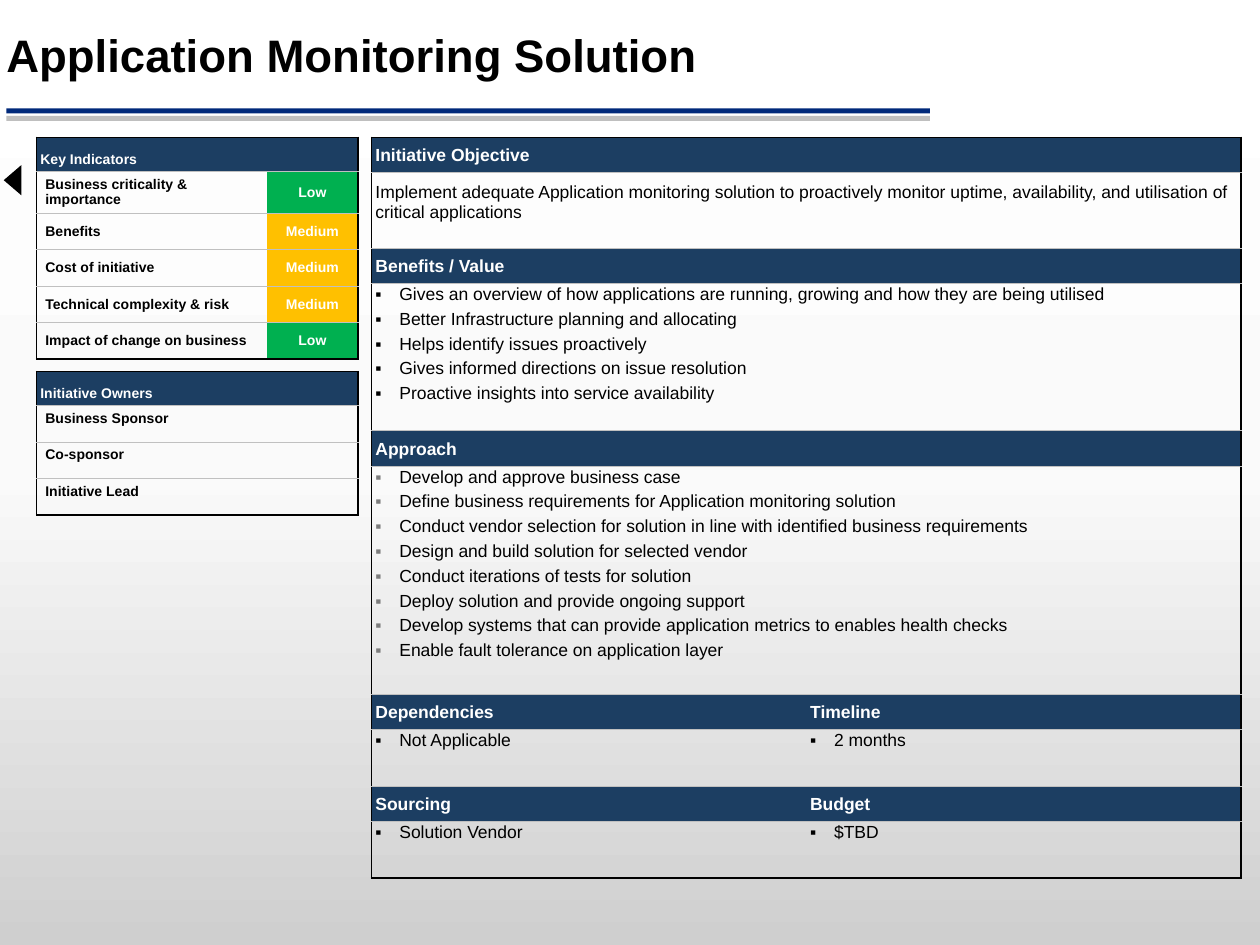
import pptx
import pptx.util
import pptx.dml.color
import pptx.enum.shapes
import pptx.enum.text
import pptx.oxml
import pptx.oxml.ns
from copy import deepcopy
from dataclasses import dataclass

Inches = pptx.util.Inches
Pt = pptx.util.Pt
ANCHOR = pptx.enum.text.MSO_ANCHOR
ALIGN = pptx.enum.text.PP_ALIGN
SHAPE = pptx.enum.shapes.MSO_SHAPE

COLORS = {
    "navy": "1C3E62", "blue": "00297A", "silver": "BFBFBF", "rule": "C0C0C0",
    "black": "000000", "white": "FFFFFF", "green": "00B050", "amber": "FFC000",
    "gray": "7D7D7D", "bottom": "CFCFCF", "middle": "FAFAFA",
}


@dataclass
class CellStyle:
    """Look of one kind of table cell."""
    size: int
    color: str = "black"
    bold: bool = False
    fill: str = ""
    anchor: object = ANCHOR.MIDDLE
    align: object = ALIGN.LEFT
    insets: tuple = (0.03, 0.01, 0.01, 0)
    bullet: str = ""


SIDE_INSETS = (0.07, 0.04, 0.07, 0.04)
STYLES = {
    "side_header": CellStyle(8, "white", True, "navy", ANCHOR.BOTTOM, insets=(0.03,) * 4),
    "indicator": CellStyle(8, bold=True, insets=SIDE_INSETS),
    "owner": CellStyle(8, bold=True, anchor=ANCHOR.TOP, insets=SIDE_INSETS),
    "Low": CellStyle(8, "white", True, "green", align=ALIGN.CENTER, insets=SIDE_INSETS),
    "Medium": CellStyle(8, "white", True, "amber", align=ALIGN.CENTER, insets=SIDE_INSETS),
    "header": CellStyle(10, "white", True, "navy"),
    "objective": CellStyle(10, insets=(0.03, 0.01, 0.01, 0.14)),
    "list": CellStyle(10, anchor=ANCHOR.TOP, bullet="black"),
    "steps": CellStyle(10, anchor=ANCHOR.TOP, bullet="gray"),
}

INDICATORS = [
    ("Business criticality & importance", "Low"),
    ("Benefits", "Medium"),
    ("Cost of initiative", "Medium"),
    ("Technical complexity & risk", "Medium"),
    ("Impact of change on business", "Low"),
]
OWNERS = ["Business Sponsor", "Co-sponsor", "Initiative Lead"]
OBJECTIVE = ("Implement adequate Application monitoring solution to proactively monitor "
             "uptime, availability, and utilisation of critical applications")
BENEFITS = [
    "Gives an overview of how applications are running, growing and how they are being utilised",
    "Better Infrastructure planning and allocating",
    "Helps identify issues proactively",
    "Gives informed directions on issue resolution",
    "Proactive insights into service availability",
]
APPROACH = [
    "Develop and approve business case",
    "Define business requirements for Application monitoring solution",
    "Conduct vendor selection for solution in line with identified business requirements",
    "Design and build solution for selected vendor",
    "Conduct iterations of tests for solution",
    "Deploy solution and provide ongoing support",
    "Develop systems that can provide application metrics to enables health checks",
    "Enable fault tolerance on application layer",
]


def rgb(name):
    """Return the named colour."""
    return pptx.dml.color.RGBColor.from_string(COLORS[name])


def set_font(paragraph, size, color, bold):
    """Set the paragraph's Arial font."""
    font = paragraph.font
    font.name, font.size, font.bold = "Arial", Pt(size), bold
    font.color.rgb = rgb(color)


def set_bullet(paragraph, color):
    """Give the paragraph a hanging square bullet."""
    properties = paragraph._p.get_or_add_pPr()
    properties.set("marL", str(Inches(0.19)))
    properties.set("indent", str(-Inches(0.19)))
    paragraph.space_after = Pt(3)
    namespace = pptx.oxml.ns.nsdecls("a")
    for xml in (f'<a:buClr {namespace}><a:srgbClr val="{COLORS[color]}"/></a:buClr>',
                f'<a:buFont {namespace} typeface="Arial"/>',
                f'<a:buChar {namespace} char="▪"/>'):
        properties.append(pptx.oxml.parse_xml(xml))


def set_border(cell, side, color, width):
    """Draw one side of the cell, or hide it when there is no colour."""
    paint = f'<a:solidFill><a:srgbClr val="{COLORS[color]}"/></a:solidFill>' if color else "<a:noFill/>"
    cell._tc.get_or_add_tcPr().append(pptx.oxml.parse_xml(
        f'<a:ln{side} {pptx.oxml.ns.nsdecls("a")} w="{Pt(width)}">{paint}</a:ln{side}>'))


def fill_cell(cell, style, lines):
    """Write the lines into the cell in the given style."""
    cell.vertical_anchor = style.anchor
    cell.margin_left, cell.margin_top, cell.margin_right, cell.margin_bottom = map(Inches, style.insets)
    if style.fill:
        cell.fill.solid()
        cell.fill.fore_color.rgb = rgb(style.fill)
    else:
        cell.fill.background()
    cell.text = "\n".join(lines)
    for paragraph in cell.text_frame.paragraphs:
        paragraph.alignment = style.align
        if style.bullet:
            set_bullet(paragraph, style.bullet)
        set_font(paragraph, style.size, style.color, style.bold)


def add_panel(slide, left, top, widths, rows):
    """Add a framed two-column table; a row with one entry spans both columns."""
    heights = [height for height, *_ in rows]
    table = slide.shapes.add_table(len(rows), 2, Inches(left), Inches(top),
                                   Inches(sum(widths)), Inches(sum(heights))).table
    table.first_row = table.horz_banding = False
    for column, width in zip(table.columns, widths):
        column.width = Inches(width)
    for row, (height, *entries) in enumerate(rows):
        table.rows[row].height = Inches(height)
        spans = len(entries) == 1
        if spans:
            table.cell(row, 0).merge(table.cell(row, 1))
        for column, (style, *lines) in enumerate(entries * 2 if spans else entries):
            cell = table.cell(row, column)
            set_border(cell, "L", "black" if column == 0 else "", 1)
            set_border(cell, "R", "black" if column == 1 or spans else "", 1)
            for side, is_edge in (("T", row == 0), ("B", row == len(rows) - 1)):
                set_border(cell, side, "black" if is_edge else "rule", 1 if is_edge else 0.5)
            fill_cell(cell, STYLES[style], [] if cell.is_spanned else lines)


def add_solid(slide, kind, left, top, width, height, color):
    """Add a plain filled shape without outline."""
    solid = slide.shapes.add_shape(kind, Inches(left), Inches(top), Inches(width), Inches(height))
    solid.shadow.inherit = False
    solid.fill.solid()
    solid.fill.fore_color.rgb = rgb(color)
    solid.line.fill.background()
    return solid


def set_background(slide):
    """Shade the slide from grey at the bottom to white at the top."""
    fill = slide.background.fill
    fill.gradient()
    fill.gradient_angle = 90
    stops = slide.element.xpath(".//a:gsLst")[0]
    stops.insert(1, deepcopy(stops[0]))
    for stop, color, position in zip(fill.gradient_stops, ("bottom", "middle", "white"), (0, 0.5, 1)):
        stop.color.rgb = rgb(color)
        stop.position = position


def set_title(slide, text):
    """Place and format the slide title."""
    title = slide.shapes.title
    title.left, title.top, title.width, title.height = map(Inches, (0, 0.21, 7.77, 0.49))
    frame = title.text_frame
    frame.text = text
    frame.word_wrap = True
    frame.vertical_anchor = ANCHOR.MIDDLE
    frame.margin_left = frame.margin_top = frame.margin_right = frame.margin_bottom = Inches(0.05)
    heading = frame.paragraphs[0]
    heading.alignment = ALIGN.LEFT
    heading.line_spacing = 0.9
    set_font(heading, 26, "black", True)


def main():
    """Build the initiative slide."""
    deck = pptx.Presentation()
    deck.slide_width, deck.slide_height = Inches(10), Inches(7.5)
    slide = deck.slides.add_slide(deck.slide_layouts[5])
    set_background(slide)
    for top, color in ((0.92, "silver"), (0.86, "blue")):
        add_solid(slide, SHAPE.RECTANGLE, 0.05, top, 7.33, 0.04, color)
    set_title(slide, "Application Monitoring Solution")
    add_panel(slide, 0.29, 1.09, (1.83, 0.72), [(0.27, ("side_header", "Key Indicators"))] + [
        (0.29, ("indicator", label), (level, level)) for label, level in INDICATORS])
    add_solid(slide, SHAPE.ISOSCELES_TRIANGLE, -0.02, 1.36, 0.24, 0.14, "black").rotation = 270
    add_panel(slide, 0.29, 2.95, (1.14, 1.41), [(0.27, ("side_header", "Initiative Owners"))] + [
        (0.29, ("owner", role), ("owner",)) for role in OWNERS])
    add_panel(slide, 2.95, 1.09, (3.45, 3.45), [
        (0.28, ("header", "Initiative Objective")),
        (0.6, ("objective", OBJECTIVE)),
        (0.28, ("header", "Benefits / Value")),
        (1.17, ("list", *BENEFITS)),
        (0.28, ("header", "Approach")),
        (1.81, ("steps", *APPROACH)),
        (0.28, ("header", "Dependencies"), ("header", "Timeline")),
        (0.45, ("list", "Not Applicable"), ("list", "2 months")),
        (0.28, ("header", "Sourcing"), ("header", "Budget")),
        (0.45, ("list", "Solution Vendor"), ("list", "$TBD")),
    ])
    deck.save("out.pptx")


if __name__ == "__main__":
    main()
